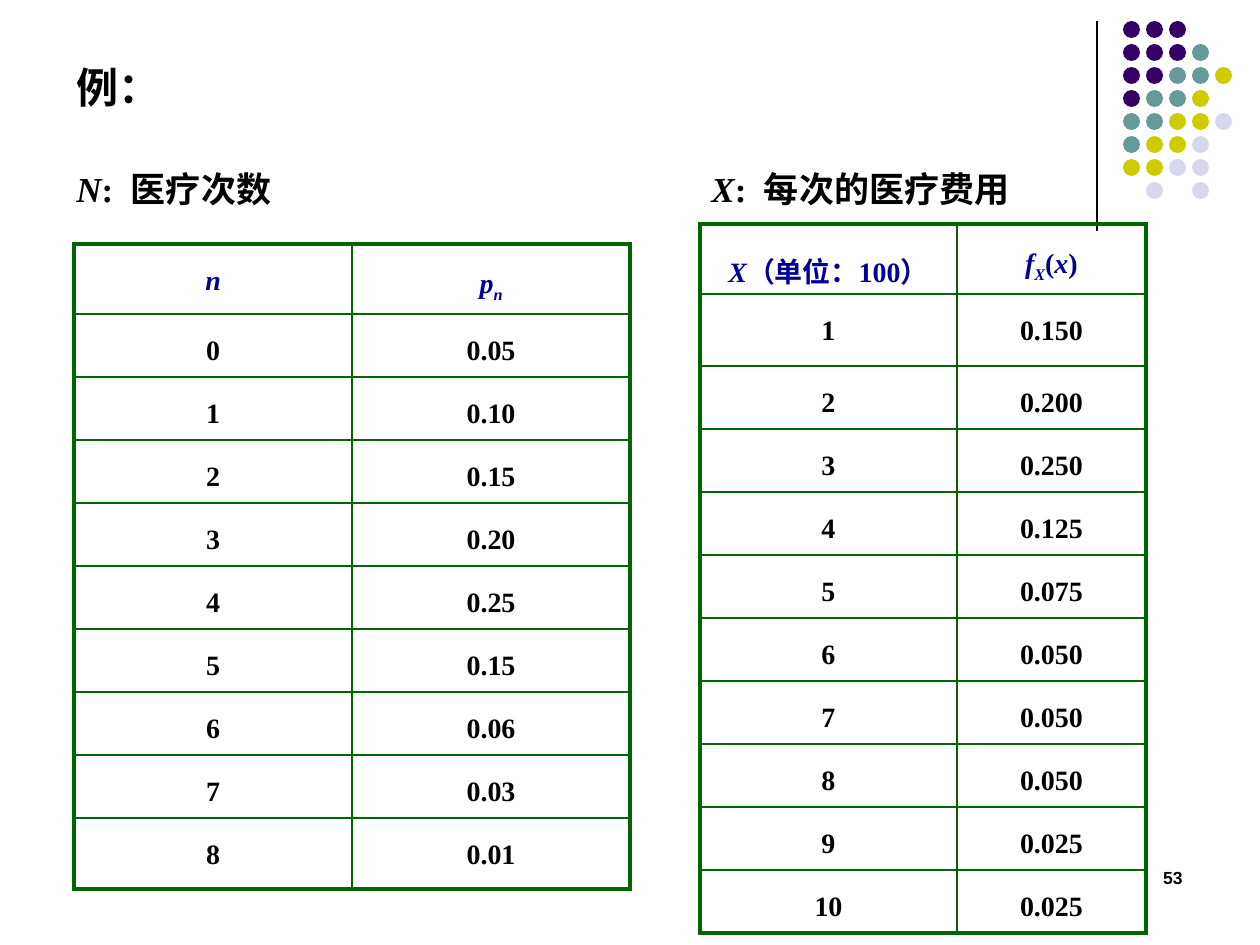
from lxml.etree import SubElement
from pptx import Presentation
from pptx.dml.color import RGBColor
from pptx.enum.shapes import MSO_CONNECTOR as Connector, MSO_SHAPE as Shape
from pptx.enum.text import PP_ALIGN as Align
from pptx.oxml.ns import qn
from pptx.util import Emu, Pt

color = RGBColor.from_string


def px(length):
    return Emu(round(length * 914400 / 126))


def write(para, runs, size, ink="000000", font="Times New Roman"):
    for text, style in runs:
        span = para.add_run()
        span.text = text
        span.font.name = font
        span.font.size = Pt(size)
        span.font.bold = True
        span.font.italic = "italic" in style
        span.font.color.rgb = color(ink)
        if "sub" in style:
            span.font._element.set("baseline", "-25000")


deck = Presentation()
deck.slide_width, deck.slide_height = px(1260), px(945)
page = deck.slides.add_slide(deck.slide_layouts[6])

rule = page.shapes.add_connector(Connector.STRAIGHT, px(1097), px(21), px(1097), px(231))
rule.line.color.rgb = color("000000")
rule.line.width = Pt(0.75)
SubElement(rule._element.spPr, qn("a:effectLst"))

dot_colors = {"P": "330066", "T": "669999", "Y": "CCCC00", "L": "D8D8EC"}
dot_rows = ["PPP", "PPPT", "PPTTY", "PTTY", "TTYYL", "TYYL", "YYLL", " L L"]
for row, letters in enumerate(dot_rows):
    for column, letter in enumerate(letters):
        if letter in dot_colors:
            dot = page.shapes.add_shape(
                Shape.OVAL, px(1123 + 23 * column), px(21 + 23 * row), px(17), px(17))
            dot.shadow.inherit = False
            dot.fill.solid()
            dot.fill.fore_color.rgb = color(dot_colors[letter])
            dot.line.fill.background()

labels = [
    ((903, 861, 292, 63), [("53", "")], 10, "Arial", Align.RIGHT, True),
    ((699, 161, 427, 55), [("X", "italic"), (":  每次的医疗费用", "")],
     20, "Times New Roman", Align.LEFT, True),
    ((64, 161, 586, 55), [("N", "italic"), (":  医疗次数", "")],
     20, "Times New Roman", Align.LEFT, True),
    ((64, 55, 111, 63), [("例：", "")], 24, "Times New Roman", Align.LEFT, False),
]
for place, runs, size, font, align, wrap in labels:
    box = page.shapes.add_textbox(*map(px, place))
    box.text_frame.word_wrap = wrap
    para = box.text_frame.paragraphs[0]
    para.alignment = align
    write(para, runs, size, font=font)

cost_header = [
    [("X", "italic"), ("（单位：100）", "")],
    [("f", "italic"), ("X", "italic sub"), ("(", ""), ("x", "italic"), (")", "")],
]
costs = ["0.150", "0.200", "0.250", "0.125", "0.075",
         "0.050", "0.050", "0.050", "0.025", "0.025"]
count_header = [[("n", "italic")], [("p", "italic"), ("n", "italic sub")]]
counts = ["0.05", "0.10", "0.15", "0.20", "0.25", "0.15", "0.06", "0.03", "0.01"]

tables = [
    (700, 224, [257, 189], [70, 72] + [63] * 9, cost_header, costs, 1),
    (74, 244, [278, 278], [70] + [63] * 8 + [71], count_header, counts, 0),
]
for left, top, widths, heights, header, values, first in tables:
    body = [[[(str(key), "")], [(value, "")]] for key, value in enumerate(values, first)]
    rows = [header] + body
    frame = page.shapes.add_table(
        len(rows), 2, px(left), px(top), px(sum(widths)), px(sum(heights)))
    table = frame.table
    table.first_row = table.horz_banding = False
    for column, width in zip(table.columns, widths):
        column.width = px(width)
    for row, height in enumerate(heights):
        table.rows[row].height = px(height)
        for column in range(2):
            cell = table.cell(row, column)
            properties = cell._tc.get_or_add_tcPr()
            outer = {"lnL": column == 0, "lnR": column == 1,
                     "lnT": row == 0, "lnB": row == len(rows) - 1}
            for side, thick in outer.items():
                border = SubElement(properties, qn("a:" + side),
                                    w=str(Pt(2.25 if thick else 1)))
                fill = SubElement(border, qn("a:solidFill"))
                SubElement(fill, qn("a:srgbClr"), val="006600")
            cell.fill.background()
            para = cell.text_frame.paragraphs[0]
            para.alignment = Align.CENTER
            para.line_spacing = 1.5
            before = SubElement(para._p.get_or_add_pPr(), qn("a:spcBef"))
            SubElement(before, qn("a:spcPct"), val="20000")
            write(para, rows[row][column], 16, "000099" if row == 0 else "000000")

deck.save("out.pptx")
